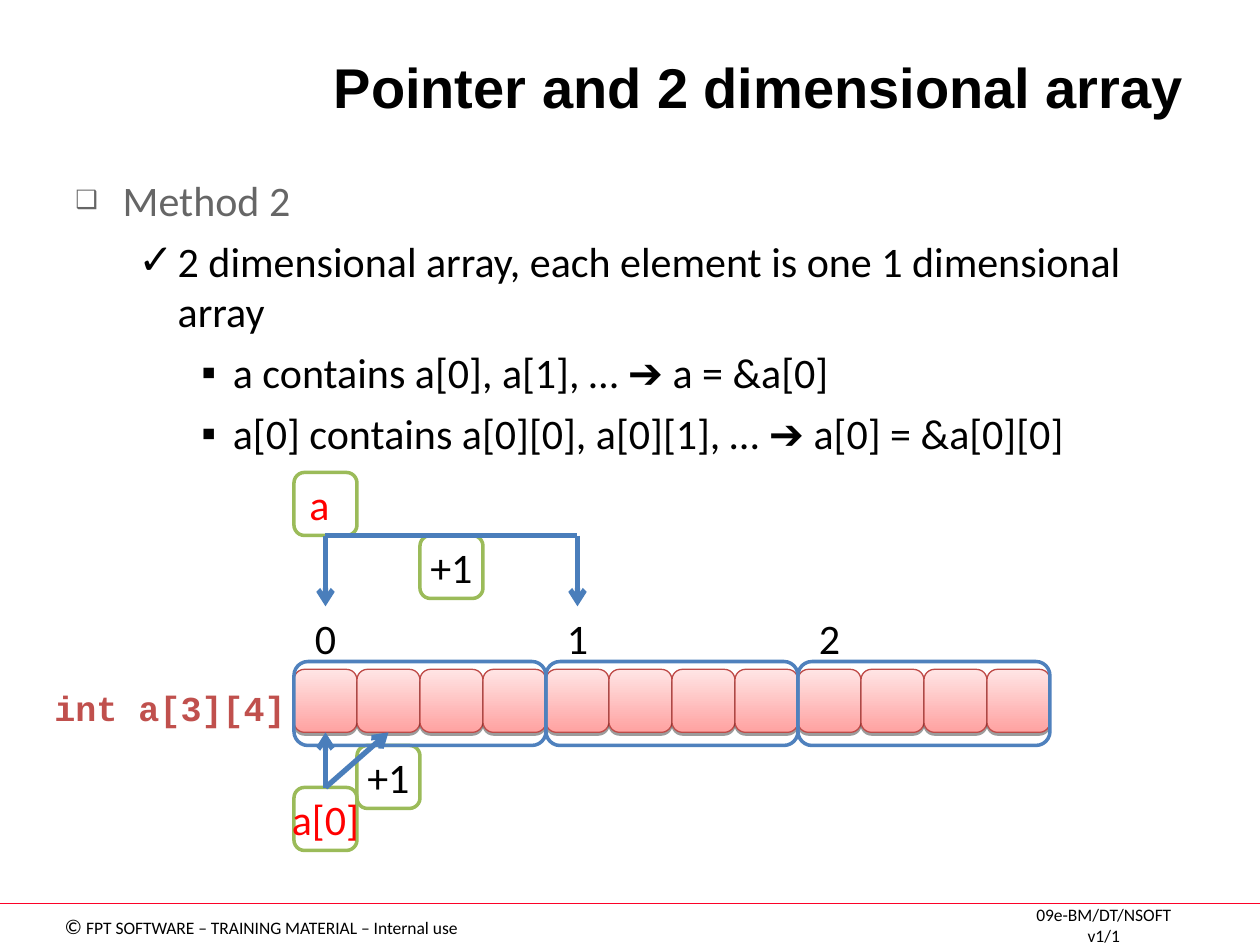
"""Build a slide on pointers and two-dimensional arrays."""
from dataclasses import dataclass

import lxml.etree
import pptx
import pptx.dml.color
import pptx.enum.shapes
import pptx.enum.text
import pptx.oxml.ns
import pptx.util

Pt = pptx.util.Pt
SHAPE = pptx.enum.shapes.MSO_SHAPE
ALIGN = pptx.enum.text.PP_ALIGN
ANCHOR = pptx.enum.text.MSO_ANCHOR


@dataclass(frozen=True)
class Theme:
    black: str = "000000"
    white: str = "FFFFFF"
    grey: str = "666666"
    red: str = "FF0000"
    code: str = "C0504D"
    rule: str = "FC0128"
    green: str = "9BBB59"
    frame: str = "4F81BD"
    arrow: str = "4A7EBB"
    cell_line: str = "BE4B48"
    cell_dark: str = "FFA2A1"
    cell_light: str = "FFE5E5"
    title_font: str = "Arial"
    body_font: str = "Calibri"
    code_font: str = "Courier New"
    title_size: int = 32
    body_size: int = 24
    code_size: int = 20
    mark_size: int = 12
    footer_size: int = 10


THEME = Theme()
ARROW = ("➔", {"font": THEME.title_font})
TITLE = "Pointer and 2 dimensional array"
OUTLINE = [
    (0, ["Method 2"]),
    (1, ["2 dimensional array, each element is one 1 dimensional array"]),
    (2, ["a contains a[0], a[1], … ", ARROW, " a = &a[0]"]),
    (2, ["a[0] contains a[0][0], a[0][1], … ", ARROW, " a[0] = &a[0][0]"]),
]
LEVELS = [
    {"bullet": "❑", "margin": 27, "hang": 27, "color": THEME.grey, "percent": 60},
    {"bullet": "✓", "margin": 58.5, "hang": 22.5, "color": THEME.black, "percent": 100},
    {"bullet": "▪", "margin": 90, "hang": 18, "color": THEME.black, "percent": 100},
]
DECLARATION = "int a[3][4]"
FOOTERS = [
    ((29, 518.4, 240.5, 21.6),
     [("©", {"size": THEME.mark_size}), " FPT SOFTWARE – TRAINING MATERIAL – Internal use"]),
    ((575.3, 519.1, 110.9, 19.4), ["09e-BM/DT/NSOFT v1/1"]),
]
ROWS, COLUMNS = 3, 4
CELL, LEFT = 36, 168
POINTER_TOP, STEP_TOP, INDEX_TOP = 270, 306, 346.5
FRAME_TOP, FRAME_HEIGHT, CELL_TOP = 378, 48, 382.5
LOWER_STEP_TOP, LOWER_POINTER_TOP = 426, 450


def rgb(color):
    return pptx.dml.color.RGBColor.from_string(color)


def add_element(parent, tag, **attributes):
    element = lxml.etree.SubElement(parent, pptx.oxml.ns.qn(tag))
    for name, value in attributes.items():
        element.set(name, str(value))
    return element


def write(para, spans, font=THEME.body_font, size=THEME.body_size,
          color=THEME.black, bold=False, align=None):
    """Fill a paragraph with spans; a span is text or (text, overrides)."""
    para.alignment = align
    for item in spans:
        text, changes = (item, {}) if isinstance(item, str) else item
        span = para.add_run()
        span.text = text
        span.font.name = changes.get("font", font)
        span.font.size = Pt(changes.get("size", size))
        span.font.bold = bold
        span.font.color.rgb = rgb(color)


def place(shape, left, top, width, height):
    shape.left, shape.top = Pt(left), Pt(top)
    shape.width, shape.height = Pt(width), Pt(height)


def add_text_box(page, area, wrap=True, anchor=ANCHOR.TOP):
    box = page.shapes.add_textbox(*map(Pt, area))
    box.text_frame.word_wrap = wrap
    box.text_frame.vertical_anchor = anchor
    return box.text_frame


def add_box(page, left, top, width=CELL, height=CELL, fill=None, line=None, weight=2):
    box = page.shapes.add_shape(SHAPE.ROUNDED_RECTANGLE, *map(Pt, (left, top, width, height)))
    box.shadow.inherit = False
    if fill:
        box.fill.solid()
        box.fill.fore_color.rgb = rgb(fill)
    else:
        box.fill.background()
    if line:
        box.line.color.rgb = rgb(line)
        box.line.width = Pt(weight)
    else:
        box.line.fill.background()
    return box


def add_label(page, text, left, top, line=None, color=THEME.black, align=ALIGN.CENTER):
    box = add_box(page, left, top, fill=THEME.white, line=line)
    box.text_frame.word_wrap = False
    box.text_frame.vertical_anchor = ANCHOR.MIDDLE
    write(box.text_frame.paragraphs[0], [text], color=color, align=align)
    return box


def add_cell(page, left):
    cell = add_box(page, left, CELL_TOP, line=THEME.cell_line, weight=0.75)
    cell.fill.gradient()
    cell.fill.gradient_angle = 90
    for stop, color in zip(cell.fill.gradient_stops, (THEME.cell_dark, THEME.cell_light)):
        stop.color.rgb = rgb(color)
    effects = cell._element.spPr.find(pptx.oxml.ns.qn("a:effectLst"))
    shadow = add_element(effects, "a:outerShdw", blurRad=0, dist=Pt(1.6), dir=5400000, rotWithShape=0)
    add_element(add_element(shadow, "a:srgbClr", val=THEME.black), "a:alpha", val=38000)
    return cell


def add_line(page, start, end, color=THEME.arrow, weight=3, arrow=False, source=None, target=None):
    points = map(Pt, (*start, *end))
    line = page.shapes.add_connector(pptx.enum.shapes.MSO_CONNECTOR.STRAIGHT, *points)
    line.line.color.rgb = rgb(color)
    line.line.width = Pt(weight)
    if arrow:
        add_element(line.line._get_or_add_ln(), "a:tailEnd", type="arrow")
    add_element(line._element.spPr, "a:effectLst")
    if source:
        line.begin_connect(*source)
    if target:
        line.end_connect(*target)


def add_outline(page):
    frame = add_text_box(page, (36, 96, 648, 386.5))
    for number, (level, spans) in enumerate(OUTLINE):
        style = LEVELS[level]
        para = frame.add_paragraph() if number else frame.paragraphs[0]
        para.level = level
        properties = para._p.get_or_add_pPr()
        properties.set("marL", str(Pt(style["margin"])))
        properties.set("indent", str(-Pt(style["hang"])))
        add_element(add_element(properties, "a:buClr"), "a:srgbClr", val=style["color"])
        add_element(properties, "a:buSzPct", val=style["percent"] * 1000)
        add_element(properties, "a:buFont", typeface=THEME.title_font)
        add_element(properties, "a:buChar", char=style["bullet"])
        if number:
            para.space_before = Pt(6)
        write(para, spans, color=style["color"])


def add_diagram(page):
    row_width = COLUMNS * CELL
    row_lefts = [LEFT + row * row_width for row in range(ROWS)]
    add_label(page, "+1", LEFT + CELL, LOWER_STEP_TOP, line=THEME.green)
    indexes = [add_label(page, str(row), left, INDEX_TOP) for row, left in enumerate(row_lefts)]
    declaration = add_text_box(page, (24, 389, 168, 31.5))
    write(declaration.paragraphs[0], [DECLARATION], font=THEME.code_font,
          size=THEME.code_size, color=THEME.code, bold=True)
    cells = [add_cell(page, LEFT + number * CELL) for number in range(ROWS * COLUMNS)]
    for left in row_lefts:
        add_box(page, left, FRAME_TOP, row_width, FRAME_HEIGHT, line=THEME.frame)
    pointer = add_label(page, "a", LEFT, POINTER_TOP, line=THEME.green,
                        color=THEME.red, align=ALIGN.LEFT)
    add_label(page, "+1", LEFT + 2 * CELL, STEP_TOP, line=THEME.green)
    lower = add_label(page, "a[0]", LEFT, LOWER_POINTER_TOP, line=THEME.green, color=THEME.red)

    first, second = [left + CELL / 2 for left in row_lefts[:2]]
    start, turn = (first, STEP_TOP), (second, STEP_TOP)
    add_line(page, start, turn, source=(pointer, 2))
    add_line(page, start, (first, INDEX_TOP), arrow=True, source=(pointer, 2), target=(indexes[0], 0))
    add_line(page, turn, (second, INDEX_TOP), arrow=True, target=(indexes[1], 0))
    for number, cell in enumerate(cells[:2]):
        add_line(page, (first, LOWER_POINTER_TOP), (first + number * CELL, CELL_TOP + CELL),
                 arrow=True, source=(lower, 0), target=(cell, 2))


def main():
    deck = pptx.Presentation()
    deck.slide_width, deck.slide_height = Pt(720), Pt(540)
    page = deck.slides.add_slide(deck.slide_layouts[5])
    add_line(page, (0, 516.25), (720, 516.25), color=THEME.rule, weight=0.75)
    for area, spans in FOOTERS:
        frame = add_text_box(page, area, wrap=False, anchor=ANCHOR.MIDDLE)
        write(frame.paragraphs[0], spans, size=THEME.footer_size, align=ALIGN.CENTER)
    title = page.shapes.title
    place(title, 139, 0, 545, 72)
    title.text_frame.auto_size = pptx.enum.text.MSO_AUTO_SIZE.NONE
    title.text_frame.vertical_anchor = ANCHOR.BOTTOM
    write(title.text_frame.paragraphs[0], [TITLE], font=THEME.title_font,
          size=THEME.title_size, bold=True, align=ALIGN.RIGHT)
    add_outline(page)
    add_diagram(page)
    deck.save("out.pptx")


if __name__ == "__main__":
    main()
